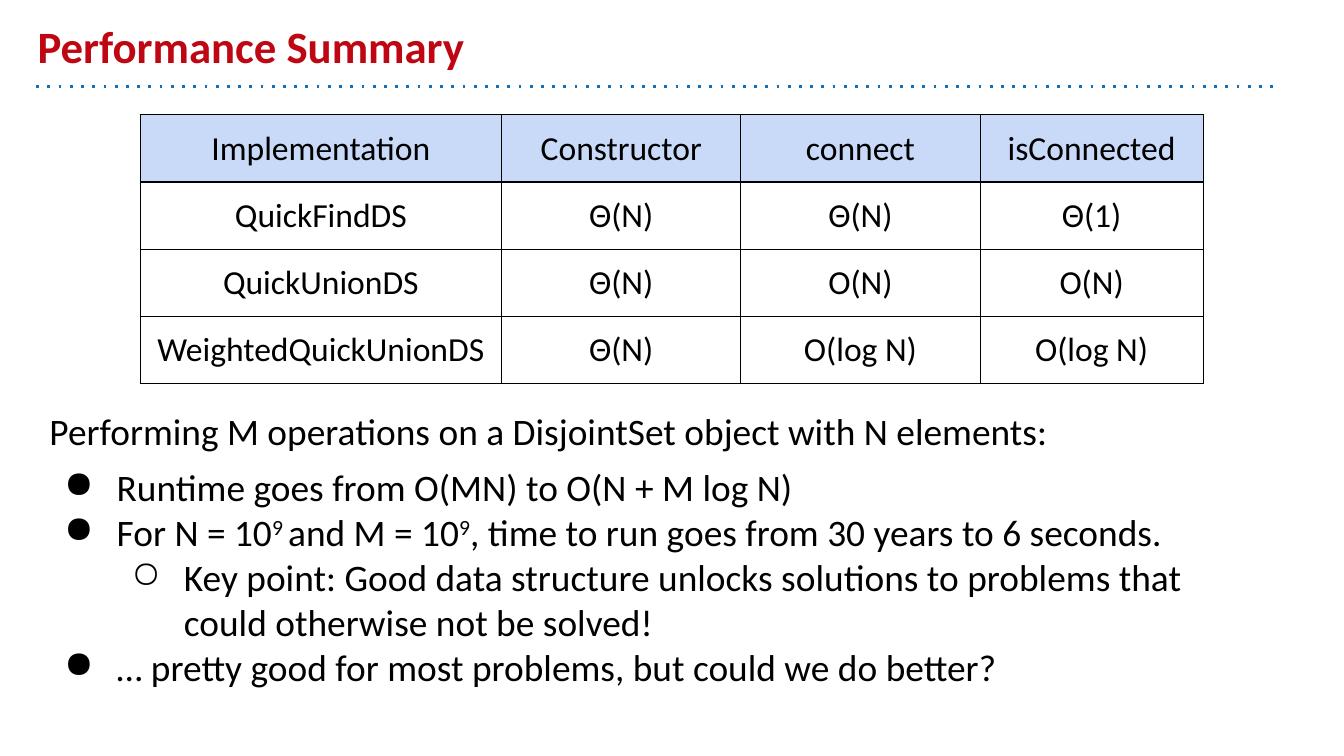
import pptx
import pptx.dml.color
import pptx.enum.shapes
import pptx.enum.text
import pptx.oxml
import pptx.oxml.ns
import pptx.util
from dataclasses import dataclass
from lxml import etree

ALIGN = pptx.enum.text.PP_ALIGN
ANCHOR = pptx.enum.text.MSO_ANCHOR
COLS, ROWS = 100, 56.25
PAD = 1
SIDES = [f"margin_{side}" for side in ("left", "top", "right", "bottom")]


@dataclass(frozen=True)
class Theme:
    """Colours, font and type sizes of the slide."""
    font: str = "Calibri"
    ink: str = "000000"
    title: str = "BE0712"
    rule: str = "1072BD"
    head: str = "C9DAF8"
    big: int = 24
    body: int = 20
    cell: int = 18
    edge: float = 0.75
    dots: float = 1.5


THEME = Theme()

TABLE = [
    ["Implementation", "Constructor", "connect", "isConnected"],
    ["QuickFindDS", "Θ(N)", "Θ(N)", "Θ(1)"],
    ["QuickUnionDS", "Θ(N)", "O(N)", "O(N)"],
    ["WeightedQuickUnionDS", "Θ(N)", "O(log N)", "O(log N)"],
]
WIDTHS = [26.9, 17.8, 17.8, 16.6]

POINTS = [
    (0, 0, ["Performing M operations on a DisjointSet object with N elements:"]),
    (1, 6, ["Runtime goes from O(MN) to O(N + M log N)"]),
    (1, 0, ["For N = 10", "9 ", "and M = 10", "9",
            ", time to run goes from 30 years to 6 seconds."]),
    (2, 0, ["Key point: Good data structure unlocks solutions to problems that "
            "could otherwise not be solved!"]),
    (1, 0, ["… pretty good for most problems, but could we do better?"]),
]
MARKS = {1: "●", 2: "○"}


def unit(count):
    """Turn grid steps into a length."""
    return pptx.util.Inches(count * 10 / COLS)


def tint(code):
    """Turn a hex code into a colour."""
    return pptx.dml.color.RGBColor.from_string(code)


def put(item, form):
    """Set each format value on the item."""
    for name, value in form.items():
        setattr(item, name, value)


def node(parent, tag, **attrs):
    """Append a drawing element to the parent."""
    return etree.SubElement(parent, pptx.oxml.ns.qn(tag), **attrs)


def write(para, text, size, color=THEME.ink, **form):
    """Add a styled run to the paragraph."""
    run = para.add_run()
    run.text = text
    put(run.font, {"name": THEME.font, "size": pptx.util.Pt(size), **form})
    run.font.color.rgb = tint(color)
    return run


def frame(slide, box, anchor):
    """Add a wrapped text box and return its frame."""
    text = slide.shapes.add_textbox(*map(unit, box)).text_frame
    put(text, {"word_wrap": True, "vertical_anchor": anchor,
               **dict.fromkeys(SIDES, unit(PAD))})
    return text


def title(slide, box):
    """Place the heading on the floor of its box."""
    text = frame(slide, box, ANCHOR.BOTTOM)
    write(text.paragraphs[0], "Performance Summary", THEME.big, THEME.title, bold=True)


def rule(slide, box):
    """Draw the dotted line along the top of its box."""
    left, top, width, _ = box
    kind = pptx.enum.shapes.MSO_CONNECTOR.STRAIGHT
    line = slide.shapes.add_connector(kind, *map(unit, (left, top, left + width, top)))
    line.line.color.rgb = tint(THEME.rule)
    line.line.width = pptx.util.Pt(THEME.dots)
    props = line._element.spPr
    node(props.find(pptx.oxml.ns.qn("a:ln")), "a:prstDash", val="dot")
    node(props, "a:effectLst")


def border(cell):
    """Draw all four edges of a cell."""
    props = cell._tc.get_or_add_tcPr()
    for side in "LRTB":
        edge = node(props, f"a:ln{side}", w=str(pptx.util.Pt(THEME.edge)))
        node(node(edge, "a:solidFill"), "a:srgbClr", val=THEME.ink)


def grid(slide, box):
    """Place the runtime table, sharing its box among rows and columns."""
    _, _, width, height = box
    table = slide.shapes.add_table(len(TABLE), len(WIDTHS), *map(unit, box)).table
    put(table, {"first_row": False, "horz_banding": False})
    for col, share in zip(table.columns, WIDTHS):
        col.width = unit(width * share / sum(WIDTHS))
    for r, (row, texts) in enumerate(zip(table.rows, TABLE)):
        row.height = unit(height / len(TABLE))
        for cell, text in zip(row.cells, texts):
            put(cell, dict.fromkeys(SIDES, unit(PAD)))
            border(cell)
            if r:
                cell.fill.background()
            else:
                cell.fill.solid()
                cell.fill.fore_color.rgb = tint(THEME.head)
            para = cell.text_frame.paragraphs[0]
            para.alignment = ALIGN.CENTER
            write(para, text, THEME.cell)


def bullet(para, level):
    """Give the paragraph the mark and indent of its level."""
    props = para._p.get_or_add_pPr()
    para.level = level - 1
    props.set("marL", str(unit(5 * level)))
    props.set("indent", str(unit(-3.9)))
    node(node(props, "a:buClr"), "a:srgbClr", val=THEME.ink)
    node(props, "a:buChar", char=MARKS[level])


def points(slide, box):
    """Place the lead line and its bullets."""
    text = frame(slide, box, ANCHOR.TOP)
    for index, (level, space, runs) in enumerate(POINTS):
        para = text.add_paragraph() if index else text.paragraphs[0]
        if level:
            bullet(para, level)
        para.space_before = pptx.util.Pt(space)
        for place, part in enumerate(runs):
            run = write(para, part, THEME.body)
            if place % 2:
                run.font._element.set("baseline", "30000")


def main():
    """Build the slide and save it."""
    deck = pptx.Presentation()
    put(deck, {"slide_width": unit(COLS), "slide_height": unit(ROWS)})
    slide = deck.slides.add_slide(deck.slide_layouts[6])
    rule(slide, (2.7, 6.42, 92.3, 0))
    title(slide, (1.82, 1, 90, 5.4))
    points(slide, (2.7, 29.4, 92.3, 18.8))
    grid(slide, (10.43, 8.53, sum(WIDTHS), 16.8))
    deck.save("out.pptx")


if __name__ == "__main__":
    main()
